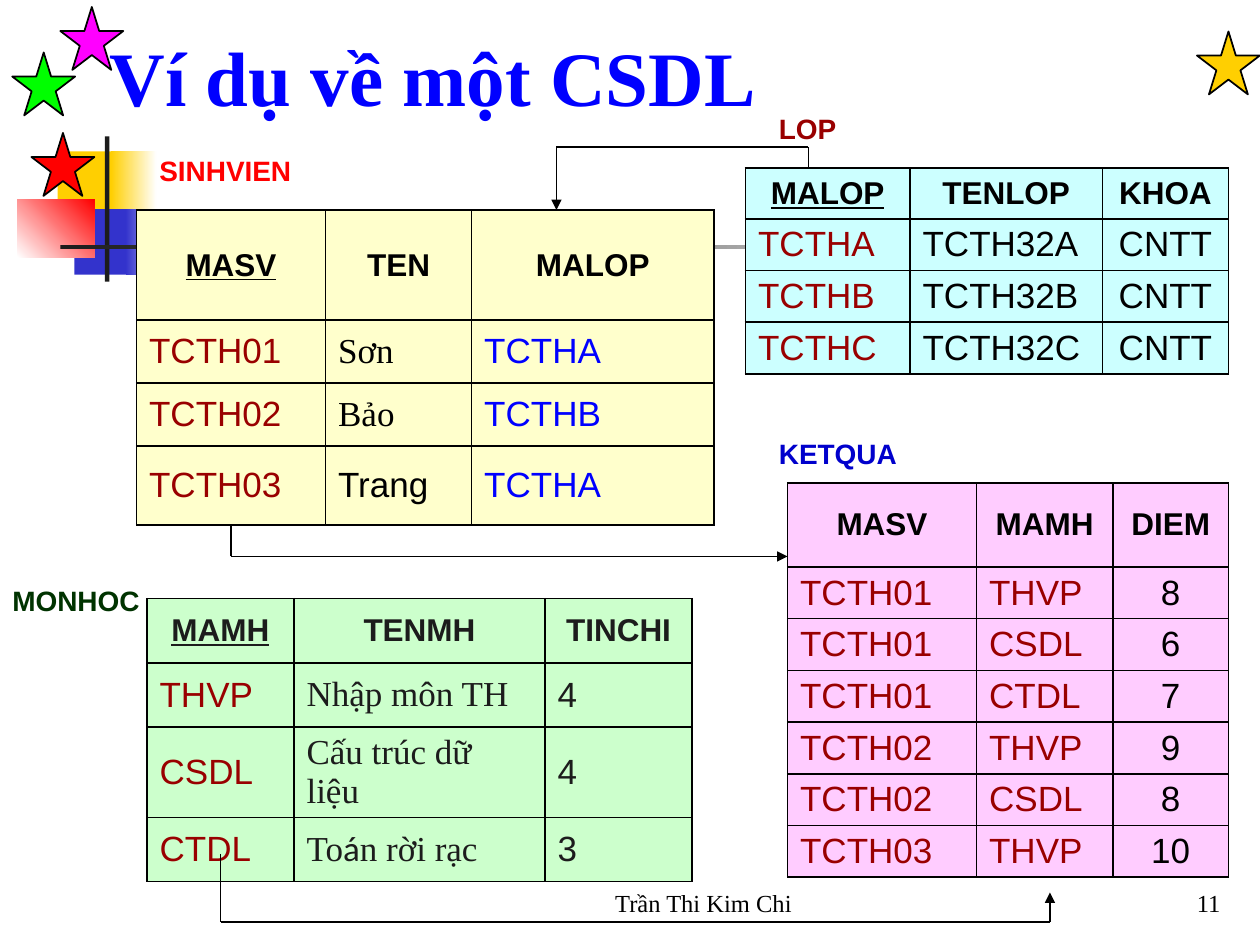
from dataclasses import dataclass
from itertools import pairwise

from lxml import etree
from pptx import Presentation
from pptx.dml.color import RGBColor
from pptx.enum import shapes as kinds, text as tx
from pptx.oxml import ns
from pptx.util import Pt

SANS, SERIF = "Arial", "Times New Roman"
BLACK, INK, MAROON, BLUE, WHITE = "000000", "1C1C1C", "990000", "0000FF", "FFFFFF"
LEFT, MID, RIGHT = tx.PP_ALIGN.LEFT, tx.PP_ALIGN.CENTER, tx.PP_ALIGN.RIGHT


@dataclass
class Block:
    box: tuple
    fill: str
    fade: str = ""
    angle: int = 0


@dataclass
class Star:
    left: float
    top: float
    fill: str


@dataclass
class Label:
    box: tuple
    text: str
    color: str
    size: int = 16
    face: str = SANS
    bold: bool = True
    align: int = LEFT
    anchor: int = tx.MSO_ANCHOR.MIDDLE
    wrap: bool = False


@dataclass
class Col:
    width: float
    color: str = BLACK
    face: str = SANS
    align: int = LEFT


@dataclass
class Sheet:
    left: float
    top: float
    fill: str
    cols: list
    heights: list
    rows: list
    ink: str = BLACK
    keyed: bool = True


@dataclass
class Link:
    points: list
    arrow: bool = True


BLOCKS = [
    Block((33, 86.5, 34.5, 37.5), "FFCF01"),
    Block((63.5, 86.5, 26, 37.5), "FFCF01", WHITE),
    Block((42.5, 119.5, 33, 37.5), "3333CC"),
    Block((72, 119.5, 29, 37.5), "3333CC", WHITE),
    Block((10, 114, 44, 33), WHITE, "FF0000", 45),
    Block((60, 78, 2.5, 83), INK),
    Block((34.5, 140, 648, 2.5), INK, WHITE),
]
STARS = [
    Star(684, 18, "FFCF01"),
    Star(18, 76, "FF0000"),
    Star(7, 30, "00FF00"),
    Star(34.5, 4, "FF00FF"),
]
FOOT = dict(size=14, face=SERIF, bold=False, anchor=tx.MSO_ANCHOR.BOTTOM, wrap=True)
LABELS = [
    Label((0, 330, 90, 26.5), "MONHOC", "003300", wrap=True),
    Label((84, 84, 90, 26.5), "SINHVIEN", "FF0000"),
    Label((438, 246, 82, 26.5), "KETQUA", "0000CC"),
    Label((438, 60, 47.5, 26.5), "LOP", MAROON),
    Label((554.5, 492, 150, 36), "11", BLACK, align=RIGHT, **FOOT),
    Label((288, 492, 228, 36), "Trần Thi Kim Chi", BLACK, align=MID, **FOOT),
]
PUPILS = Sheet(
    78, 120, "FFFFCC",
    [Col(108, MAROON), Col(83.5, BLACK, SERIF), Col(138.5, BLUE)],
    [63, 36, 36, 45],
    [("MASV", "TEN", "MALOP"), ("TCTH01", "Sơn", "TCTHA"),
     ("TCTH02", "Bảo", "TCTHB"), ("TCTH03", "Trang", "TCTHA")],
)
MARKS = Sheet(
    450, 276, "FFCCFF",
    [Col(108, MAROON), Col(78, MAROON), Col(66, align=MID)],
    [48] + [28] * 6,
    [("MASV", "MAMH", "DIEM"), ("TCTH01", "THVP", "8"), ("TCTH01", "CSDL", "6"),
     ("TCTH01", "CTDL", "7"), ("TCTH02", "THVP", "9"), ("TCTH02", "CSDL", "8"),
     ("TCTH03", "THVP", "10")],
    keyed=False,
)
TOPICS = Sheet(
    84, 342, "CCFFCC",
    [Col(84, MAROON), Col(143.5, INK, SERIF), Col(84, INK)],
    [36.75] * 4,
    [("MAMH", "TENMH", "TINCHI"), ("THVP", "Nhập môn TH", "4"),
     ("CSDL", "Cấu trúc dữ liệu", "4"), ("CTDL", "Toán rời rạc", "3")],
    ink=INK,
)
GROUPS = Sheet(
    426, 96, "CCFFFF",
    [Col(94, MAROON), Col(110), Col(72, align=MID)],
    [29] * 4,
    [("MALOP", "TENLOP", "KHOA"), ("TCTHA", "TCTH32A", "CNTT"),
     ("TCTHB", "TCTH32B", "CNTT"), ("TCTHC", "TCTH32C", "CNTT")],
)
LINKS = [
    Link([(462, 96), (462, 84), (318, 84), (318, 120)]),
    Link([(126, 488), (126, 527), (600, 527), (600, 510)]),
    Link([(132, 300), (132, 318), (450, 318)]),
]


def tint(code: str) -> RGBColor:
    return RGBColor.from_string(code)


def style(font, size: float, face: str, color: str, bold: bool = False) -> None:
    font.size, font.name, font.bold = Pt(size), face, bold
    font.color.rgb = tint(color)


def paint(shape, code: str) -> None:
    shape.fill.solid()
    shape.fill.fore_color.rgb = tint(code)


def draw_block(slide, item: Block) -> None:
    rect = slide.shapes.add_shape(kinds.MSO_SHAPE.RECTANGLE, *map(Pt, item.box))
    rect.shadow.inherit = False
    rect.line.fill.background()
    if not item.fade:
        paint(rect, item.fill)
        return
    rect.fill.gradient()
    rect.fill.gradient_angle = item.angle
    for stop, code in zip(rect.fill.gradient_stops, (item.fill, item.fade)):
        stop.color.rgb = tint(code)


def draw_star(slide, item: Star) -> None:
    box = map(Pt, (item.left, item.top, 36, 36))
    star = slide.shapes.add_shape(kinds.MSO_SHAPE.STAR_5_POINT, *box)
    star.shadow.inherit = False
    paint(star, item.fill)
    star.line.color.rgb = tint(BLACK)
    star.line.width = Pt(1)


def draw_label(slide, item: Label) -> None:
    frame = slide.shapes.add_textbox(*map(Pt, item.box)).text_frame
    frame.word_wrap, frame.vertical_anchor = item.wrap, item.anchor
    frame.text = item.text
    para = frame.paragraphs[0]
    para.alignment = item.align
    style(para.runs[0].font, item.size, item.face, item.color, item.bold)


def edge(cell) -> None:
    props = cell._tc.get_or_add_tcPr()
    for side in ("lnL", "lnR", "lnT", "lnB"):
        line = etree.SubElement(props, ns.qn(f"a:{side}"), w=str(Pt(1)))
        fill = etree.SubElement(line, ns.qn("a:solidFill"))
        etree.SubElement(fill, ns.qn("a:srgbClr"), val=BLACK)


def draw_sheet(slide, item: Sheet):
    size = (item.left, item.top, sum(c.width for c in item.cols), sum(item.heights))
    frame = slide.shapes.add_table(len(item.rows), len(item.cols), *map(Pt, size))
    table = frame.table
    table.first_row = table.horz_banding = False
    for slot, col in zip(table.columns, item.cols):
        slot.width = Pt(col.width)
    for y, (row, tall) in enumerate(zip(item.rows, item.heights)):
        table.rows[y].height = Pt(tall)
        for x, (word, col) in enumerate(zip(row, item.cols)):
            cell = table.cell(y, x)
            edge(cell)
            paint(cell, item.fill)
            cell.vertical_anchor = tx.MSO_ANCHOR.MIDDLE
            cell.text_frame.text = word
            para = cell.text_frame.paragraphs[0]
            para.alignment = col.align if y else MID
            font = para.runs[0].font
            if y:
                style(font, 20, col.face, col.color)
            else:
                style(font, 18, SANS, item.ink, True)
                font.underline = item.keyed and x == 0
    return table


def draw_link(slide, item: Link) -> None:
    for start, end in pairwise(item.points):
        line = slide.shapes.add_connector(
            kinds.MSO_CONNECTOR.STRAIGHT, *map(Pt, start + end))
        line.line.color.rgb = tint(BLACK)
        line.line.width = Pt(1)
        props = line.element.spPr
        etree.SubElement(props, ns.qn("a:effectLst"))
    if item.arrow:
        etree.SubElement(props.find(ns.qn("a:ln")), ns.qn("a:tailEnd"), type="triangle")


def draw_title(slide) -> None:
    title = slide.shapes.title
    title.left, title.top, title.width, title.height = map(Pt, (55.5, 24, 664.5, 39))
    frame = title.text_frame
    frame.text = "Ví dụ về một CSDL"
    frame.auto_size = tx.MSO_AUTO_SIZE.NONE
    frame.vertical_anchor = tx.MSO_ANCHOR.MIDDLE
    para = frame.paragraphs[0]
    para.alignment = LEFT
    style(para.runs[0].font, 44, SERIF, BLUE, True)
    slide.shapes.element.append(title.element)


def main() -> None:
    deck = Presentation()
    deck.slide_width, deck.slide_height = Pt(720), Pt(540)
    slide = deck.slides.add_slide(deck.slide_layouts[5])
    for block in BLOCKS:
        draw_block(slide, block)
    for star in STARS:
        draw_star(slide, star)
    draw_title(slide)
    pupils, _, topics, _ = [
        draw_sheet(slide, s) for s in (PUPILS, MARKS, TOPICS, GROUPS)]
    pupils.cell(3, 1).text_frame.paragraphs[0].runs[0].font.name = SANS
    para = topics.cell(3, 1).text_frame.paragraphs[0]
    para.clear()
    for part, face in (("To", SERIF), ("á", "Calibri"), ("n rời rạc", SERIF)):
        run = para.add_run()
        run.text = part
        style(run.font, 20, face, INK)
    for label in LABELS:
        draw_label(slide, label)
    for link in LINKS:
        draw_link(slide, link)
    deck.save("out.pptx")


if __name__ == "__main__":
    main()
